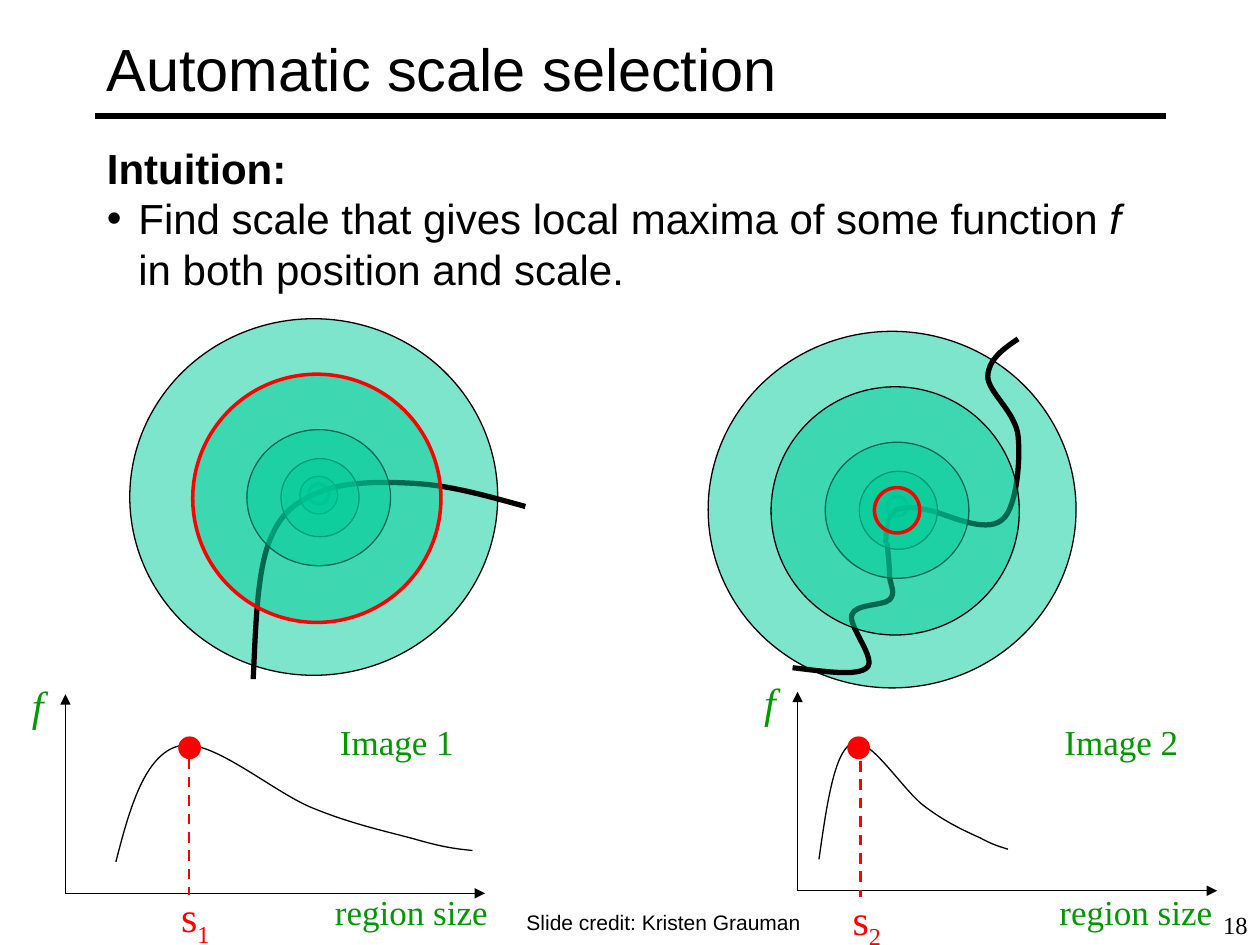
from lxml import etree
from pptx import Presentation
from pptx import util as u
from pptx.dml.color import RGBColor
from pptx.enum import dml, shapes, text
from pptx.oxml import ns

SANS, SERIF = "Arial", "Times New Roman"
BLACK, RED, GREEN, TEAL = "000000", "FF0000", "009900", "00CC99"


def inch(value):
    return u.Cm(value * 2.54)


def rgb(value):
    return RGBColor.from_string(value)


def child(parent, tag, **attributes):
    return etree.SubElement(parent, ns.qn(tag), **attributes)


class Board:
    """Holds the current slide and draws each kind of element on it."""

    def __init__(self, slide):
        self.slide = slide

    def stroke(self, line, color, weight):
        line.color.rgb = rgb(color)
        line.width = u.Pt(weight)

    def line(self, x1, y1, x2, y2, color=BLACK, weight=0.75, arrow=False, dashed=False):
        link = self.slide.shapes.add_connector(
            shapes.MSO_CONNECTOR.STRAIGHT, inch(x1), inch(y1), inch(x2), inch(y2))
        self.stroke(link.line, color, weight)
        if dashed:
            link.line.dash_style = dml.MSO_LINE.DASH
        if arrow:
            child(link.line._get_or_add_ln(), "a:tailEnd", type="triangle")
        child(link._element.spPr, "a:effectLst")

    def circle(self, x, y, width, height, fill=TEAL, color=BLACK, weight=0.75, alpha=None):
        oval = self.slide.shapes.add_shape(
            shapes.MSO_SHAPE.OVAL, inch(x), inch(y), inch(width), inch(height))
        oval.shadow.inherit = False
        oval.fill.solid()
        oval.fill.fore_color.rgb = rgb(fill)
        if alpha:
            tint = oval._element.spPr.find(ns.qn("a:solidFill"))[0]
            child(tint, "a:alpha", val=str(alpha * 1000))
        self.stroke(oval.line, color, weight)

    def curve(self, points, weight):
        """Draw a Bezier path: a start point, then three points a segment."""
        builder = self.slide.shapes.build_freeform(
            inch(points[0][0]), inch(points[0][1]))
        builder.add_line_segments([(inch(x), inch(y)) for x, y in points[1:]], close=False)
        path = builder.convert_to_shape()
        path.shadow.inherit = False
        path.fill.background()
        self.stroke(path.line, BLACK, weight)
        steps = list(path._element.iter(ns.qn("a:lnTo")))
        for start in range(0, len(steps), 3):
            outline = steps[start].getparent()
            segment = child(outline, "a:cubicBezTo")
            for step in steps[start:start + 3]:
                segment.append(step[0])
                outline.remove(step)

    def label(self, words, x, y, width, height, size, font=SANS, color=BLACK,
              align=text.PP_ALIGN.LEFT, anchor=text.MSO_ANCHOR.TOP):
        frame = self.slide.shapes.add_textbox(
            inch(x), inch(y), inch(width), inch(height)).text_frame
        frame.auto_size = text.MSO_AUTO_SIZE.NONE
        frame.word_wrap = True
        frame.vertical_anchor = anchor
        frame.text = words
        for paragraph in frame.paragraphs:
            paragraph.alignment = align
            self.style(paragraph.runs[0], size, font, color)
        return frame

    def style(self, run, size, font, color):
        run.font.size = u.Pt(size)
        run.font.name = font
        run.font.color.rgb = rgb(color)

    def centred(self, words, x, y, width, height, size, color=GREEN):
        """Add a one-line label that may use the full width of its box."""
        frame = self.label(words, x, y, width, height, size, SERIF, color,
                           text.PP_ALIGN.CENTER)
        frame.margin_left = frame.margin_right = 0
        return frame.paragraphs[0]

    def bullet(self, paragraph):
        properties = paragraph._p.get_or_add_pPr()
        properties.set("marL", str(inch(0.25)))
        properties.set("indent", str(-inch(0.25)))
        child(properties, "a:buFont", typeface=SANS)
        child(properties, "a:buChar", char="•")

    def scales(self, dx, dy, edges, rings, best):
        """Draw concentric regions over image edges, with the best scale in red."""
        for x, y, width, height, weight in ((2.45, 3.84, 0.16, 0.16, 2),
                                            (1.03, 2.53, 2.92, 2.83, 0.75)):
            self.circle(x + dx, y + dy, width, height, weight=weight, alpha=51)
        for edge in edges:
            self.curve(edge, 3)
        for x, y, width, height in rings:
            self.circle(x + dx, y + dy, width, height, alpha=51)
        self.circle(*best, color=RED, weight=2, alpha=51)

    def response(self, number, x, y, caption_x, points, peak_x, drop_x, drop_y):
        """Plot f against region size, marking the scale at its peak."""
        self.line(x, y, x + 3.33, y, arrow=True)
        self.line(x, y, x, y - 1.58, arrow=True)
        function = self.centred("f", x - 0.44, y - 1.75, 0.44, 0.5, 24)
        function.runs[0].font.italic = True
        self.centred("region size", caption_x, 7.02, 1.41, 0.43, 20)
        self.centred(f"Image {number}", caption_x + 0.04, 5.67, 1.1, 0.43, 20)
        self.curve(points, 0.75)
        self.circle(peak_x, 5.85, 0.17, 0.17, fill=RED, color=RED)
        self.line(drop_x, drop_y, drop_x, drop_y + 1.08, RED, 1.5, dashed=True)
        scale = self.centred("s", drop_x - 0.16, drop_y + 1, 0.42, 0.55, 24, RED)
        index = scale.add_run()
        index.text = str(number)
        self.style(index, 24, SERIF, RED)
        index.font._element.set("baseline", "-25000")


def main():
    deck = Presentation()
    deck.slide_width, deck.slide_height = inch(10), inch(7.5)
    board = Board(deck.slides.add_slide(deck.slide_layouts[6]))

    board.line(0.75, 0.92, 9.25, 0.92, weight=3)
    board.label("Automatic scale selection", 0.75, 0.08, 8.5, 0.92, 34,
                anchor=text.MSO_ANCHOR.MIDDLE)
    intuition = board.label(
        "Intuition:\nFind scale that gives local maxima of some function ",
        0.75, 1.08, 8.25, 1.3, 24)
    heading, finding = intuition.paragraphs
    heading.runs[0].font.bold = True
    board.bullet(finding)
    for words, italic in (("f ", True), ("in both position and scale.", False)):
        run = finding.add_run()
        run.text = words
        board.style(run, 24, SANS, BLACK)
        run.font.italic = italic

    small, medium = (2.23, 3.64, 0.62, 0.62), (1.96, 3.41, 1.14, 1.08)
    large = (1.53, 2.97, 1.97, 1.97)
    arch = [(2.01, 5.39), (2.03, 4.98), (2.04, 4.57), (2.13, 4.32),
            (2.22, 4.07), (2.35, 3.98), (2.55, 3.9), (2.75, 3.82), (3.06, 3.82),
            (3.33, 3.84), (3.6, 3.86), (3.88, 3.94), (4.17, 4.02)]
    board.scales(0, 0, [arch], [(2.38, 3.78, 0.3, 0.3), small, medium], large)

    upper = [(7.42, 4.06), (7.64, 4.14), (7.85, 4.22), (7.96, 4.12),
             (8.07, 4.02), (8.1, 3.65), (8.08, 3.46), (8.06, 3.27), (7.84, 3.11),
             (7.84, 2.99), (7.84, 2.86), (7.96, 2.77), (8.08, 2.69)]
    lower = [(6.29, 5.3), (6.55, 5.33), (6.8, 5.37), (6.88, 5.3),
             (6.96, 5.23), (6.73, 4.97), (6.76, 4.88), (6.79, 4.79), (7.01, 4.81),
             (7.06, 4.76), (7.11, 4.71), (7.07, 4.65), (7.06, 4.58),
             (7.06, 4.5), (7.05, 4.41), (7.04, 4.31)]
    middle = [(7.03, 4.31), (7.03, 4.24), (7.04, 4.16), (7.05, 4.12),
              (7.07, 4.07), (7.09, 4.06), (7.13, 4.04), (7.17, 4.03), (7.22, 4.03),
              (7.27, 4.03), (7.32, 4.04), (7.37, 4.05), (7.42, 4.06)]
    board.scales(4.59, 0.1, [upper, lower, middle], [small, medium, large],
                 (6.94, 3.87, 0.36, 0.36))

    wide = [(0.92, 6.84), (1.03, 6.41), (1.15, 5.99), (1.42, 5.92),
            (1.68, 5.85), (2.18, 6.3), (2.5, 6.42), (2.82, 6.55), (3.12, 6.61),
            (3.33, 6.67), (3.54, 6.73), (3.65, 6.74), (3.75, 6.75)]
    narrow = [(6.5, 6.82), (6.56, 6.4), (6.62, 5.97), (6.76, 5.9),
              (6.9, 5.83), (7.17, 6.28), (7.34, 6.4), (7.51, 6.53), (7.67, 6.6),
              (7.78, 6.65), (7.89, 6.71), (7.94, 6.72), (8, 6.74)]
    board.response(1, 0.52, 7.09, 2.56, wide, 1.42, 1.5, 6.02)
    board.response(2, 6.33, 7.07, 8.31, narrow, 6.73, 6.83, 6.04)

    board.label("Slide credit: Kristen Grauman", 4.08, 7.17, 5.25, 0.3, 12)
    board.label("18", 7.92, 7.17, 2.08, 0.5, 14, SERIF, align=text.PP_ALIGN.RIGHT)
    deck.save("out.pptx")


if __name__ == "__main__":
    main()
